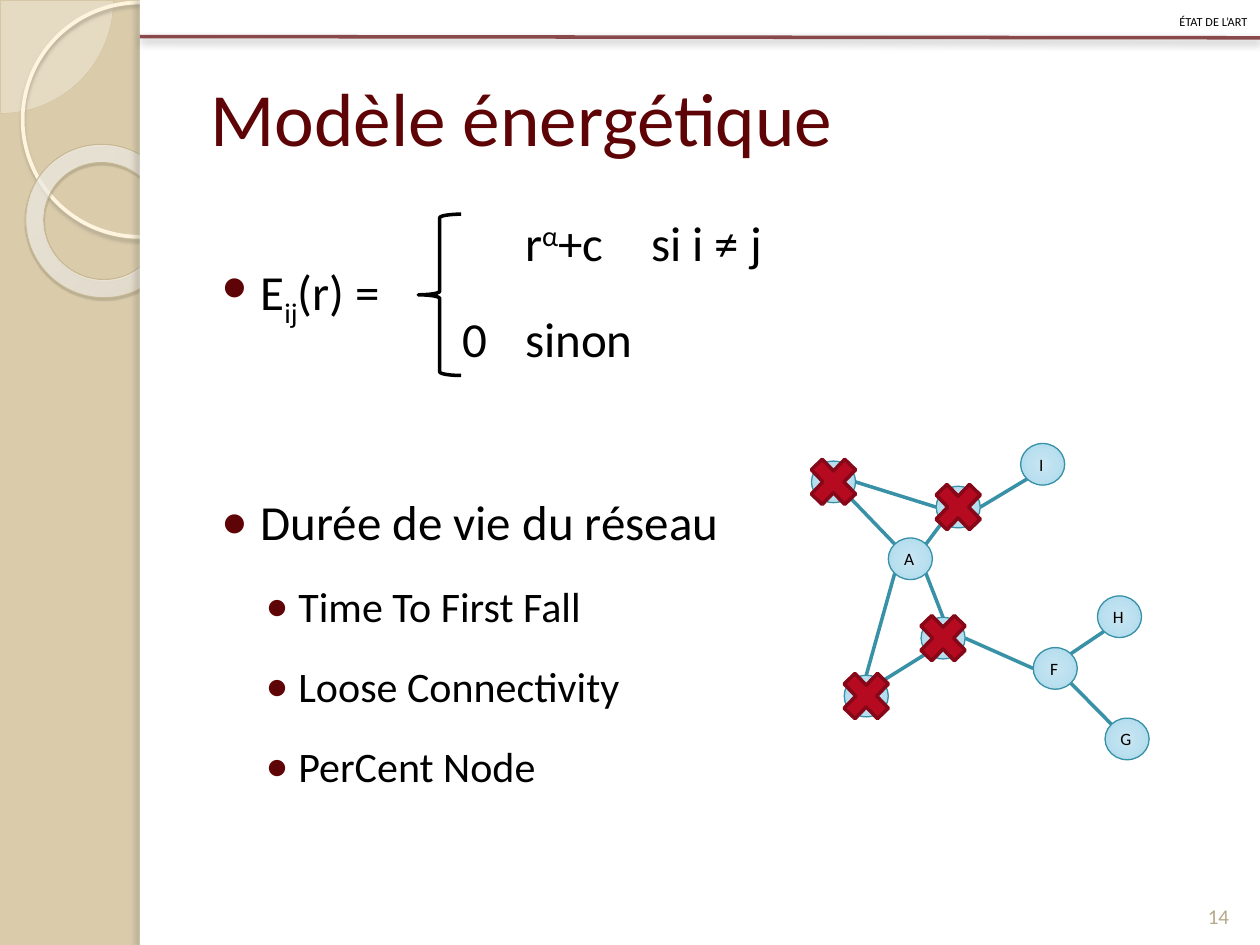
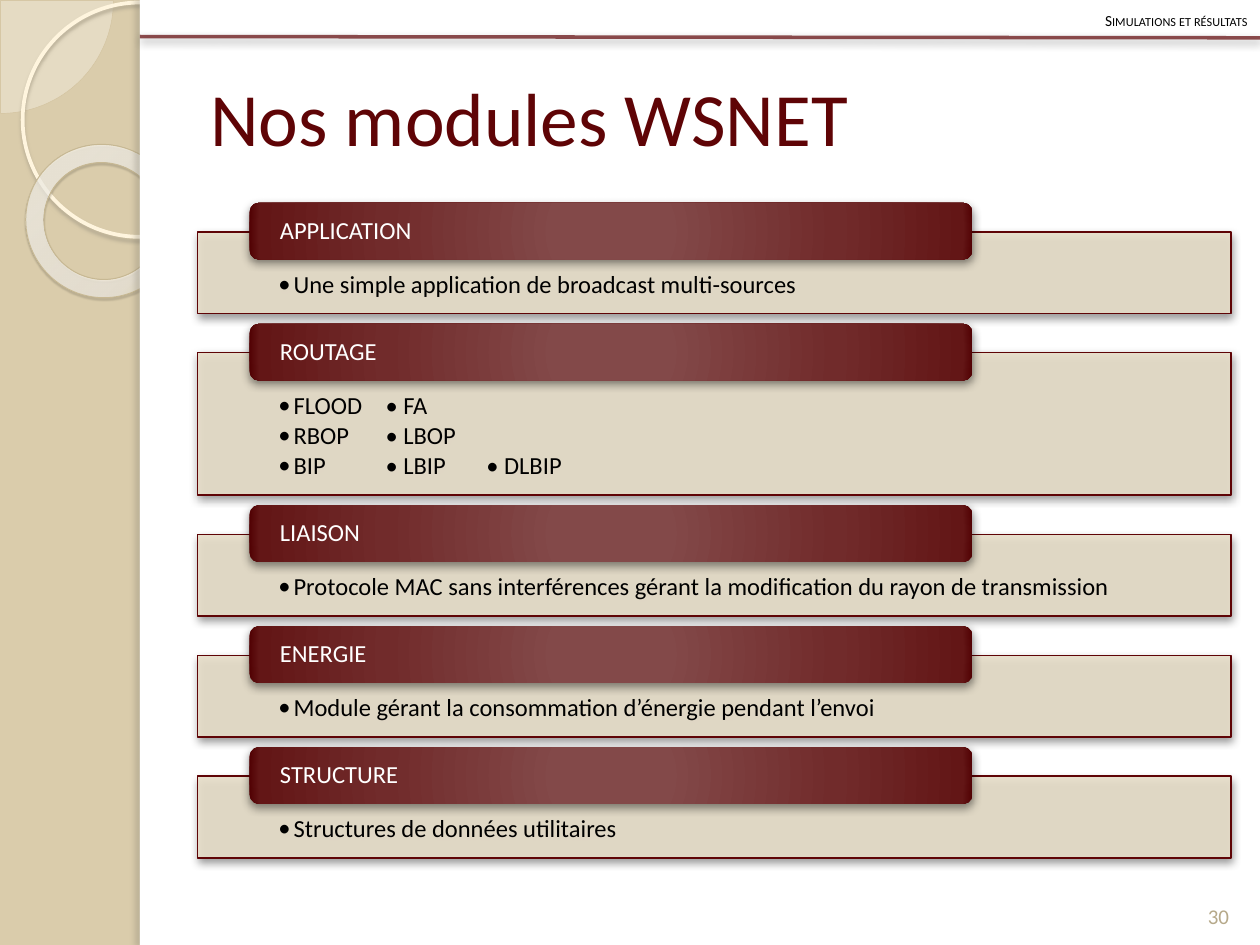
from lxml import etree
from pptx import Presentation
from pptx.dml.color import RGBColor
from pptx.enum.shapes import MSO_CONNECTOR, MSO_SHAPE as S
from pptx.enum.text import MSO_ANCHOR, MSO_AUTO_SIZE, PP_ALIGN
from pptx.oxml.ns import qn
from pptx.util import Inches, Pt

# Colours and font
FONT = "Calibri"
BLACK, WHITE = RGBColor(0, 0, 0), RGBColor(255, 255, 255)
WINE = RGBColor(0x5F, 0x04, 0x06)
SAND = RGBColor(0xDA, 0xCC, 0xAB)
CARD = RGBColor(0xE7, 0xDE, 0xC9)
CREAM = RGBColor(0xFE, 0xFA, 0xF4)
RING = RGBColor(0xFF, 0xF5, 0xDE)
PIE_EDGE = RGBColor(0xD3, 0xC3, 0x9F)
DONUT_EDGE = RGBColor(0xC7, 0xB8, 0x93)
NUMBER = RGBColor(0xB6, 0xA9, 0x8A)
TEAL = RGBColor(0x38, 0x91, 0xA7)
RED, DARK_RED = RGBColor(0xB5, 0x0A, 0x20), RGBColor(0x86, 0x07, 0x18)

# Gradients: stops (percent, colour, opacity) and focus rectangle
MIDDLE = (50, 50, 50, 50)
NODE_FILL = ([(0, "C9E6F2", 100), (50, "BBE0EF", 100),
              (97, "A4D8ED", 100), (100, "9BD7EE", 100)], MIDDLE)
HEAD_FILL = ([(0, "844949", 100), (15, "834949", 100), (62, "712B2B", 100),
              (97, "631616", 100), (100, "500002", 100)], MIDDLE)
DONUT_FILL = ([(0, "FFFCF6", 70), (70, "FFFEFB", 55), (100, "F0D28E", 60)],
              (-408, -50, 508, 150))

# Shadows: colour, opacity, blur, distance, angle
SOFT = ("000000", 43, 5, 2, 90)
RING_SHADE = ("B0A68F", 85, 2, 2, 90)
DONUT_SHADE = ("5A5444", 35, 1, 1.2, 75)
EDGE_SHADE = ("736F63", 25, 3, 3, 180)

# Content of the energy slide: a paragraph is (runs, format)
TOP = dict(bullet=True, left=0.4, hang=0.31)
SUB = dict(bullet=True, left=0.7, hang=0.26, size=24, spacing=1.4, before=5.5)
ENERGY = [
    ([("r", 0), ("α", 30), ("+c\tsi i ≠ j", 0)],
     dict(left=2.5, tabs=(3.5,), spacing=0.6)),
    ([("E", 0), ("ij", -25), ("(r) =", 0)], dict(TOP, spacing=0.6)),
    ("0\tsinon", dict(left=2, tabs=(3,), spacing=0.6)),
    ("Durée de vie du réseau", dict(TOP, spacing=1.4, before=59)),
    ("Time To First Fall", SUB),
    ("Loose Connectivity", SUB),
    ("PerCent Node", SUB),
]
NODES = {"A": (7.05, 4.27), "B": (7.43, 3.86), "C": (6.44, 3.66),
         "D": (6.7, 5.36), "E": (7.31, 4.9), "F": (8.2, 5.14),
         "G": (8.77, 5.7), "H": (8.71, 4.73), "I": (8.1, 3.52)}
DEAD = "CEBD"
NODE_W, NODE_H = 0.35, 0.33
CROSS_W, CROSS_H = 0.51, 0.53
EDGES = [("C", "se", "A", "nw"), ("A", "ne", "B", "sw"), ("A", "se", "E", "n"),
         ("A", "sw", "D", "n"), ("D", "ne", "E", "sw"), ("E", "e", "F", "w"),
         ("B", "w", "C", "e"), ("F", "se", "G", "nw"), ("F", "ne", "H", "sw"),
         ("B", "e", "I", "sw")]

# Content of the modules slide
MODULES = [
    ("APPLICATION", ["Une simple application de broadcast multi-sources"]),
    ("ROUTAGE", ["FLOOD\t• FA", "RBOP\t• LBOP", "BIP\t• LBIP\t• DLBIP"]),
    ("LIAISON", ["Protocole MAC sans interférences gérant la modification "
                 "du rayon de transmission"]),
    ("ENERGIE", ["Module gérant la consommation d’énergie pendant l’envoi"]),
    ("STRUCTURE", ["Structures de données utilitaires"]),
]


def sub(parent, tag, **attrs):
    return etree.SubElement(parent, qn(tag), {k: str(v) for k, v in attrs.items()})


def tint(parent, color, alpha):
    sub(sub(parent, "a:srgbClr", val=color), "a:alpha", val=alpha * 1000)


def shade(props, shadow):
    """Give a shape the listed shadow, or none."""
    effects = sub(props, "a:effectLst")
    if shadow:
        color, alpha, blur, dist, angle = shadow
        outer = sub(effects, "a:outerShdw", blurRad=int(Pt(blur)), dist=int(Pt(dist)),
                    dir=angle * 60000, algn="ctr", rotWithShape=0)
        tint(outer, color, alpha)


def blend(props, stops, focus):
    """Fill a shape with a circular gradient."""
    grad = etree.Element(qn("a:gradFill"), rotWithShape="1")
    marks = sub(grad, "a:gsLst")
    for pos, color, alpha in stops:
        tint(sub(marks, "a:gs", pos=pos * 1000), color, alpha)
    route = sub(grad, "a:path", path="circle")
    sub(route, "a:fillToRect", **{k: v * 1000 for k, v in zip("ltrb", focus)})
    props.insert(2, grad)


def draw(slide, kind, box, fill=None, line=None, width=0.75, alpha=100,
         shadow=None, adjust=()):
    shape = slide.shapes.add_shape(kind, *map(Inches, box))
    props = shape._element.spPr
    for n, value in enumerate(adjust):
        shape.adjustments[n] = value
    if isinstance(fill, tuple) and not isinstance(fill, RGBColor):
        blend(props, *fill)
    elif fill is None:
        shape.fill.background()
    else:
        shape.fill.solid()
        shape.fill.fore_color.rgb = fill
        if alpha < 100:
            sub(props.xpath("a:solidFill/a:srgbClr")[0], "a:alpha", val=alpha * 1000)
    if line is None:
        shape.line.fill.background()
    else:
        shape.line.color.rgb = line
        shape.line.width = Pt(width)
    shade(props, shadow)
    return shape


def link(slide, start, end, color, alpha=100, shadow=None):
    line = slide.shapes.add_connector(MSO_CONNECTOR.STRAIGHT,
                                      *map(Inches, (*start, *end)))
    line.line.color.rgb = color
    line.line.width = Pt(2)
    props = line._element.spPr
    if alpha < 100:
        sub(props.xpath("a:ln//a:srgbClr")[0], "a:alpha", val=alpha * 1000)
    shade(props, shadow)
    return line


def style(para, runs, size=14, color=BLACK, align=PP_ALIGN.LEFT, spacing=1.0,
          before=0, after=0, left=0, hang=0, bullet=False, dot=None, tabs=(),
          caps=False):
    """Write one paragraph; runs is a text or a list of (text, baseline)."""
    para.alignment, para.line_spacing = align, spacing
    para.space_before, para.space_after = Pt(before), Pt(after)
    props = para._p.get_or_add_pPr()
    props.set("marL", str(Inches(left)))
    props.set("indent", str(-Inches(hang)))
    if bullet:
        if dot is not None:
            sub(sub(props, "a:buClr"), "a:srgbClr", val=dot)
            sub(props, "a:buSzPct", val=110000)
        sub(props, "a:buFont", typeface=FONT)
        sub(props, "a:buChar", char="•")
    if tabs:
        stops = sub(props, "a:tabLst")
        for pos in tabs:
            sub(stops, "a:tab", pos=int(Inches(pos)), algn="l")
    for words, base in [(runs, 0)] if isinstance(runs, str) else runs:
        run = para.add_run()
        run.text = words
        run.font.name, run.font.size = FONT, Pt(size)
        run.font.color.rgb = color
        if base:
            run.font._element.set("baseline", str(base * 1000))
        if caps:
            run.font._element.set("cap", "small")


def write(shape, paras, anchor=MSO_ANCHOR.TOP, inset=(0.1, 0.05, 0.1, 0.05),
          wrap=True, **fmt):
    """Fill a shape with paragraphs: texts or (runs, format) pairs."""
    frame = shape.text_frame
    frame.word_wrap, frame.auto_size = wrap, MSO_AUTO_SIZE.NONE
    frame.vertical_anchor = anchor
    (frame.margin_left, frame.margin_top,
     frame.margin_right, frame.margin_bottom) = map(Inches, inset)
    for n, item in enumerate(paras):
        runs, own = (item, {}) if isinstance(item, str) else item
        para = frame.add_paragraph() if n else frame.paragraphs[0]
        style(para, runs, **{**fmt, **own})


def label(slide, box, paras, **fmt):
    write(slide.shapes.add_textbox(*map(Inches, box)), paras, **fmt)


def decorate(slide, layout):
    """Draw the side band and top rule, then hand them to the layout."""
    parts = [
        draw(slide, S.PIE, (-0.89, -0.89, 1.79, 1.79), CREAM, PIE_EDGE, 0.25,
             alpha=33, adjust=(0, 54)),
        draw(slide, S.OVAL, (0.18, 0.02, 1.86, 1.86), None, RING, 2.15,
             shadow=RING_SHADE),
        draw(slide, S.DONUT, (0.2, 1.15, 1.23, 1.21), DONUT_FILL, DONUT_EDGE, 0.58,
             shadow=DONUT_SHADE, adjust=(0.12,)),
        draw(slide, S.RECTANGLE, (1.11, 0, 8.89, 7.5), WHITE),
        draw(slide, S.RECTANGLE, (1.11, 0, 0.08, 7.5), WHITE, shadow=EDGE_SHADE),
        link(slide, (1.11, 0.29), (10, 0.3), WINE, 70, SOFT),
    ]
    parts[2].rotation = 38.6
    for n, part in enumerate(parts):
        item = part._element
        item.xpath(".//p:cNvPr")[0].set("id", str(20 + n))
        layout.shapes._spTree.insert(2 + n, item)


def frame_slide(slide, title, section, number):
    head = slide.shapes.title
    head.left, head.top, head.width, head.height = map(Inches, (1.57, 0.3, 8.2, 1.25))
    write(head, [title], size=43, color=WINE, anchor=MSO_ANCHOR.MIDDLE)
    label(slide, (0, 0, 10, 0.29), [section], size=8.8, caps=True, before=6,
          spacing=1.2, align=PP_ALIGN.RIGHT, anchor=MSO_ANCHOR.MIDDLE)
    label(slide, (9.42, 6.9, 0.5, 0.52), [number], size=12, color=NUMBER,
          align=PP_ALIGN.CENTER, anchor=MSO_ANCHOR.BOTTOM)


def site(name, side):
    """Point on a node's rim, by compass side."""
    x, y = NODES[name]
    reach = 0.71 if len(side) == 2 else 1
    dx = ("e" in side) - ("w" in side)
    dy = ("s" in side) - ("n" in side)
    return (x + NODE_W / 2 * (1 + reach * dx), y + NODE_H / 2 * (1 + reach * dy))


def energy(slide):
    label(slide, (1.57, 1.8, 8.2, 5.25), ENERGY, size=28, before=6, dot=WINE)
    draw(slide, S.LEFT_BRACE, (3.32, 1.7, 0.34, 1.28), None, BLACK, 2)
    # Network
    for name, spot in NODES.items():
        node = draw(slide, S.OVAL, (*spot, NODE_W, NODE_H), NODE_FILL, TEAL)
        if name not in DEAD:
            write(node, [name], size=9.9, align=PP_ALIGN.CENTER, wrap=False,
                  anchor=MSO_ANCHOR.MIDDLE, inset=(0, 0, 0.02, 0))
    for a, out, b, into in EDGES:
        link(slide, site(a, out), site(b, into), TEAL)
    # Crosses on the dead nodes
    for name in DEAD:
        x, y = NODES[name]
        box = (x + (NODE_W - CROSS_W) / 2, y + (NODE_H - CROSS_H) / 2, CROSS_W, CROSS_H)
        draw(slide, S.MATH_MULTIPLY, box, RED, DARK_RED, 2)


def modules(slide):
    top = 1.84
    for name, items in MODULES:
        high = 0.41 + 0.24 * len(items)
        card = draw(slide, S.RECTANGLE, (1.57, top, 8.2, high), CARD, WINE,
                    alpha=90, shadow=SOFT)
        write(card, items, inset=(0.64, 0.32, 0.64, 0.11), bullet=True, left=0.12,
              hang=0.12, spacing=0.9, after=2,
              tabs=(0.85, 1.65) if len(items) > 1 else ())
        head = draw(slide, S.ROUNDED_RECTANGLE, (1.98, top - 0.23, 5.74, 0.45),
                    HEAD_FILL, shadow=SOFT)
        write(head, [name], color=WHITE, spacing=0.9, anchor=MSO_ANCHOR.MIDDLE,
              inset=(0.22, 0, 0.22, 0))
        top += high + 0.31


SLIDES = [
    ("Modèle énergétique", "état de l’art", "14", energy),
    ("Nos modules WSNET", "Simulations et résultats", "30", modules),
]


def main():
    deck = Presentation()
    deck.slide_width, deck.slide_height = Inches(10), Inches(7.5)
    back = deck.slide_master.background.fill
    back.solid()
    back.fore_color.rgb = SAND
    layout = deck.slide_layouts[5]
    for n, (title, section, number, build) in enumerate(SLIDES):
        slide = deck.slides.add_slide(layout)
        if n == 0:
            decorate(slide, layout)
        frame_slide(slide, title, section, number)
        build(slide)
    deck.save("out.pptx")


if __name__ == "__main__":
    main()
